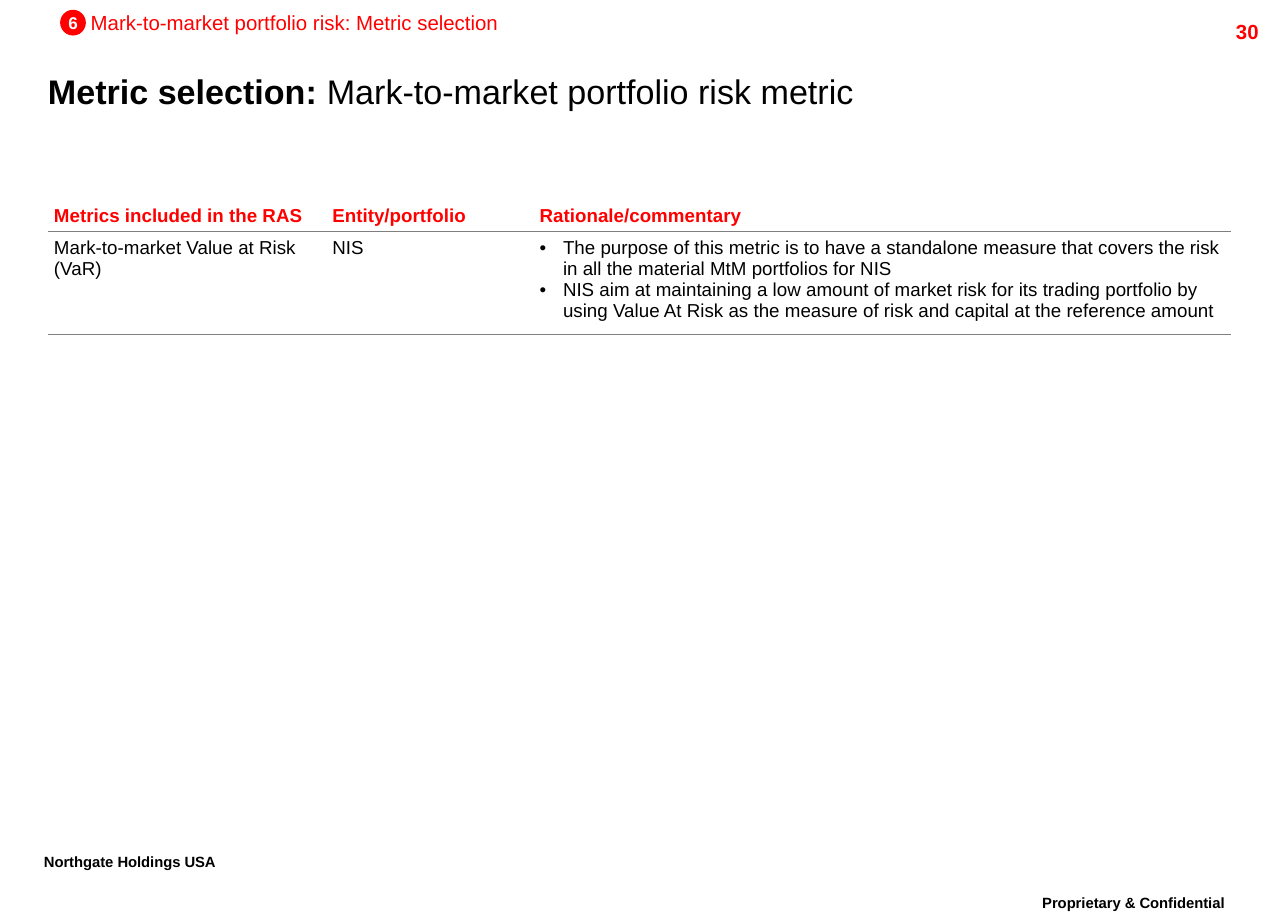
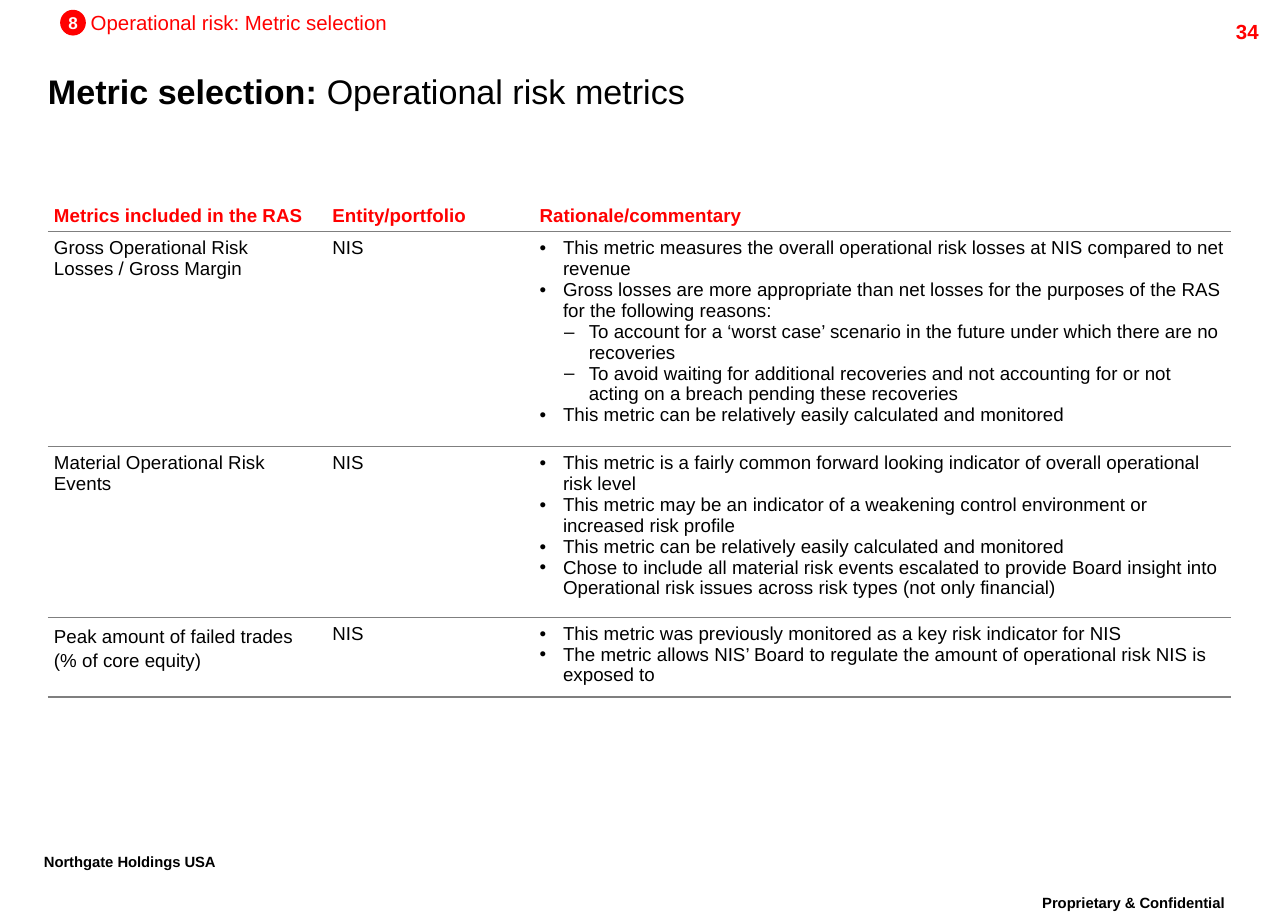
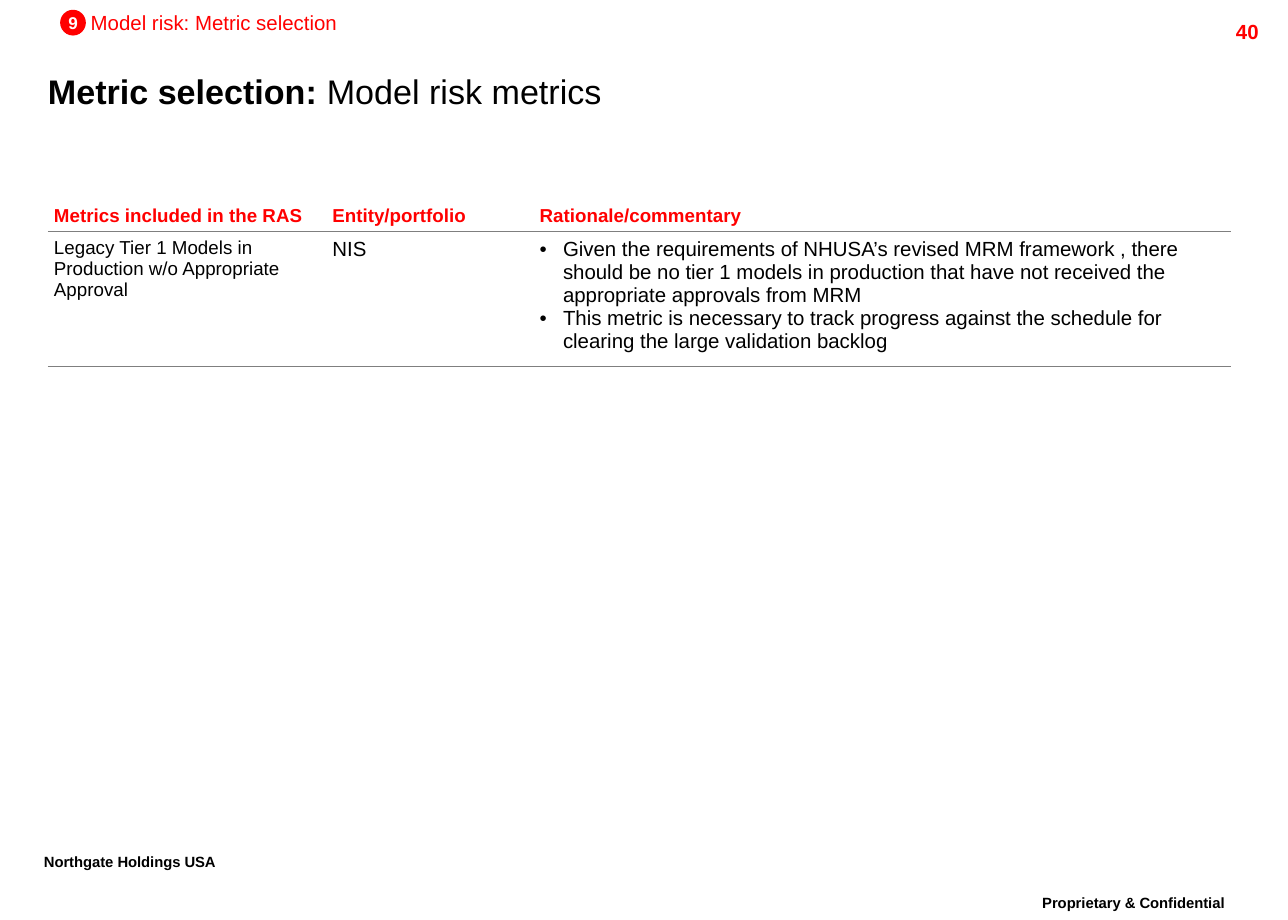
from dataclasses import dataclass

from lxml.etree import SubElement
from pptx import Presentation
from pptx.dml.color import RGBColor
from pptx.enum.shapes import MSO_SHAPE
from pptx.enum.text import MSO_ANCHOR, MSO_AUTO_SIZE, PP_ALIGN
from pptx.oxml import parse_xml
from pptx.oxml.ns import nsdecls, qn
from pptx.util import Inches, Pt


# Theme
@dataclass(frozen=True)
class Theme:
    font: str = "Arial"
    accent: str = "FF0000"
    ink: str = "000000"
    paper: str = "FFFFFF"
    rule: str = "7F7F7F"
    title_size: int = 20
    footer_size: int = 15
    section_size: int = 12
    badge_size: int = 10
    table_size: int = 11
    tight: float = 0.86
    rule_width: float = 0.75


THEME = Theme()
NO_STYLE_ID = "{2D5ABB26-0587-4C30-8999-92F81FD0307C}"
COLUMN_WIDTHS = (2.27, 1.69, 5.69)
COLUMN_HEADS = ("Metrics included in the RAS", "Entity/portfolio", "Rationale/commentary")
HEAD_HEIGHT = 0.29
CELL_MARGIN = 0.05


# Content types
@dataclass(frozen=True)
class Bullet:
    text: str
    sub: bool = False


@dataclass(frozen=True)
class Metric:
    name: str
    rationale: tuple[Bullet, ...]
    height: float
    entity: str = "NIS"
    name_spacing: float = 1.0
    detail_size: int = THEME.table_size


@dataclass(frozen=True)
class MetricPage:
    number: int
    section_number: int
    section: str
    subject: str
    metrics: tuple[Metric, ...]


@dataclass(frozen=True)
class Label:
    left: float
    top: float
    width: float
    height: float
    size: int
    color: str
    bold: bool = True
    align: PP_ALIGN = PP_ALIGN.LEFT
    margin_x: float = 0.1
    margin_y: float = 0.05
    spacing: float = 1.0
    raised: bool = False


OWNER = Label(0.26, 6.91, 2.2, 0.35, THEME.footer_size, THEME.ink,
              spacing=THEME.tight, raised=True)
NOTICE = Label(8.15, 7.25, 2.18, 0.35, THEME.footer_size, THEME.ink,
               align=PP_ALIGN.CENTER, spacing=THEME.tight, raised=True)
PAGE_NUMBER = Label(9.36, 0.11, 1, 0.24, THEME.section_size, THEME.accent,
                    align=PP_ALIGN.RIGHT)
SECTION = Label(0.74, 0.08, 5, 0.2, THEME.section_size, THEME.accent, bold=False,
                margin_x=0, margin_y=0)


# Text helpers
def add_run(paragraph, text: str, size: int, color: str, bold: bool = False):
    run = paragraph.add_run()
    run.text = text
    font = run.font
    font.name, font.size, font.bold = THEME.font, Pt(size), bold
    font.color.rgb = RGBColor.from_string(color)
    return run


def set_margins(frame, x: float, y: float) -> None:
    frame.margin_left = frame.margin_right = Inches(x)
    frame.margin_top = frame.margin_bottom = Inches(y)


def add_label(shapes, label: Label, text: str) -> None:
    box = shapes.add_textbox(Inches(label.left), Inches(label.top),
                             Inches(label.width), Inches(label.height))
    frame = box.text_frame
    frame.word_wrap = True
    set_margins(frame, label.margin_x, label.margin_y)
    paragraph = frame.paragraphs[0]
    paragraph.alignment, paragraph.line_spacing = label.align, label.spacing
    run = add_run(paragraph, text, label.size, label.color, label.bold)
    if label.raised:
        run.font.size = Pt(label.size)
        run.font._element.set("baseline", "30000")


def set_bullet(paragraph, sub: bool) -> None:
    left, hang, mark = (0.4, 0.2, "–") if sub else (0.19, 0.19, "•")
    properties = paragraph._p.get_or_add_pPr()
    properties.set("marL", str(Inches(left)))
    properties.set("indent", str(-Inches(hang)))
    color = SubElement(properties, qn("a:buClr"))
    SubElement(color, qn("a:srgbClr"), val=THEME.ink)
    SubElement(properties, qn("a:buFont"), typeface=THEME.font)
    SubElement(properties, qn("a:buChar"), char=mark)


# Shared frame of every page
def add_section_mark(slide, page: MetricPage) -> None:
    group = slide.shapes.add_group_shape()
    add_label(group.shapes, SECTION, page.section)
    badge = group.shapes.add_shape(MSO_SHAPE.OVAL, Inches(0.49), Inches(0.08),
                                   Inches(0.21), Inches(0.21))
    badge.shadow.inherit = False
    badge.fill.solid()
    badge.fill.fore_color.rgb = RGBColor.from_string(THEME.accent)
    badge.line.fill.background()
    frame = badge.text_frame
    frame.word_wrap = False
    frame.vertical_anchor = MSO_ANCHOR.MIDDLE
    set_margins(frame, 0, 0)
    frame.paragraphs[0].alignment = PP_ALIGN.CENTER
    add_run(frame.paragraphs[0], str(page.section_number), THEME.badge_size, THEME.paper, True)


def set_title(slide, subject: str) -> None:
    title = slide.shapes.title
    title.left, title.top = Inches(0.29), Inches(0.57)
    title.width, title.height = Inches(10.21), Inches(0.39)
    frame = title.text_frame
    frame.auto_size = MSO_AUTO_SIZE.NONE
    frame.vertical_anchor = MSO_ANCHOR.TOP
    paragraph = frame.paragraphs[0]
    paragraph.alignment, paragraph.line_spacing = PP_ALIGN.LEFT, THEME.tight
    add_run(paragraph, "Metric selection: ", THEME.title_size, THEME.ink, True)
    add_run(paragraph, subject, THEME.title_size, THEME.ink)


# Metric table
def style_cell(cell, anchor: MSO_ANCHOR, rule_above: bool) -> None:
    cell.vertical_anchor = anchor
    set_margins(cell, CELL_MARGIN, CELL_MARGIN)
    cell.fill.background()
    properties = cell._tc.get_or_add_tcPr()
    edges = {"lnL": False, "lnR": False, "lnT": rule_above, "lnB": True}
    for position, (edge, ruled) in enumerate(edges.items()):
        paint = (f'<a:solidFill><a:srgbClr val="{THEME.rule}"/></a:solidFill>'
                 if ruled else "<a:noFill/>")
        line = f'<a:{edge} {nsdecls("a")} w="{Pt(THEME.rule_width)}">{paint}</a:{edge}>'
        properties.insert(position, parse_xml(line))


def fill_metric_row(cells, metric: Metric) -> None:
    name_cell, entity_cell, rationale_cell = cells
    name = name_cell.text_frame.paragraphs[0]
    name.line_spacing = metric.name_spacing
    add_run(name, metric.name, THEME.table_size, THEME.ink)
    add_run(entity_cell.text_frame.paragraphs[0], metric.entity, metric.detail_size, THEME.ink)
    frame = rationale_cell.text_frame
    for index, bullet in enumerate(metric.rationale):
        paragraph = frame.add_paragraph() if index else frame.paragraphs[0]
        set_bullet(paragraph, bullet.sub)
        add_run(paragraph, bullet.text, metric.detail_size, THEME.ink)


def add_metric_table(slide, metrics: tuple[Metric, ...]) -> None:
    heights = [HEAD_HEIGHT, *(metric.height for metric in metrics)]
    holder = slide.shapes.add_table(len(heights), len(COLUMN_WIDTHS), Inches(0.39), Inches(1.6),
                                    Inches(sum(COLUMN_WIDTHS)), Inches(sum(heights)))
    for style in holder.element.iter(qn("a:tableStyleId")):
        style.text = NO_STYLE_ID
    table = holder.table
    table.first_row = table.horz_banding = False
    for column, width in zip(table.columns, COLUMN_WIDTHS):
        column.width = Inches(width)
    for index, (row, height) in enumerate(zip(table.rows, heights)):
        row.height = Inches(height)
        for cell in row.cells:
            style_cell(cell, MSO_ANCHOR.TOP if index else MSO_ANCHOR.BOTTOM, index > 0)
    for cell, head in zip(table.rows[0].cells, COLUMN_HEADS):
        paragraph = cell.text_frame.paragraphs[0]
        paragraph.line_spacing = THEME.tight
        add_run(paragraph, head, THEME.table_size, THEME.accent, True)
    for index, metric in enumerate(metrics, start=1):
        fill_metric_row(table.rows[index].cells, metric)


def add_page(deck, page: MetricPage) -> None:
    slide = deck.slides.add_slide(deck.slide_layouts[5])
    add_label(slide.shapes, NOTICE, "Proprietary & Confidential")
    add_label(slide.shapes, OWNER, "Northgate Holdings USA")
    add_label(slide.shapes, PAGE_NUMBER, str(page.number))
    set_title(slide, page.subject)
    add_metric_table(slide, page.metrics)
    add_section_mark(slide, page)


# Content
EASY_TO_MONITOR = Bullet("This metric can be relatively easily calculated and monitored")

PAGES = (
    MetricPage(30, 6, "Mark-to-market portfolio risk: Metric selection",
               "Mark-to-market portfolio risk metric", (
        Metric("Mark-to-market Value at Risk (VaR)", (
            Bullet("The purpose of this metric is to have a standalone measure that covers "
                   "the risk in all the material MtM portfolios for NIS"),
            Bullet("NIS aim at maintaining a low amount of market risk for its trading portfolio "
                   "by using Value At Risk as the measure of risk and capital at the reference "
                   "amount"),
        ), 0.83),
    )),
    MetricPage(34, 8, "Operational risk: Metric selection", "Operational risk metrics", (
        Metric("Gross Operational Risk Losses / Gross Margin", (
            Bullet("This metric measures the overall operational risk losses at NIS compared "
                   "to net revenue"),
            Bullet("Gross losses are more appropriate than net losses for the purposes of the "
                   "RAS for the following reasons:"),
            Bullet("To account for a ‘worst case’ scenario in the future under which there are "
                   "no recoveries", sub=True),
            Bullet("To avoid waiting for additional recoveries and not accounting for or not "
                   "acting on a breach pending these recoveries", sub=True),
            EASY_TO_MONITOR,
        ), 1.74),
        Metric("Material Operational Risk Events", (
            Bullet("This metric is a fairly common forward looking indicator of overall "
                   "operational risk level"),
            Bullet("This metric may be an indicator of a weakening control environment or "
                   "increased risk profile"),
            EASY_TO_MONITOR,
            Bullet("Chose to include all material risk events escalated to provide Board insight "
                   "into Operational risk issues across risk types (not only financial)"),
        ), 1.39),
        Metric("Peak amount of failed trades (% of core equity)", (
            Bullet("This metric was previously monitored as a key risk indicator for NIS"),
            Bullet("The metric allows NIS’ Board to regulate the amount of operational risk NIS "
                   "is exposed to"),
        ), 0.65, name_spacing=1.15),
    )),
    MetricPage(40, 9, "Model risk: Metric selection", "Model risk metrics", (
        Metric("Legacy Tier 1 Models in Production w/o Appropriate Approval", (
            Bullet("Given the requirements of NHUSA’s revised MRM framework , there should be no "
                   "tier 1 models in production that have not received the appropriate approvals "
                   "from MRM"),
            Bullet("This metric is necessary to track progress against the schedule for clearing "
                   "the large validation backlog"),
        ), 1.1, detail_size=12),
    )),
)


def main() -> None:
    deck = Presentation()
    deck.slide_width, deck.slide_height = Inches(10.5), Inches(7.5)
    for page in PAGES:
        add_page(deck, page)
    deck.save("out.pptx")


if __name__ == "__main__":
    main()
